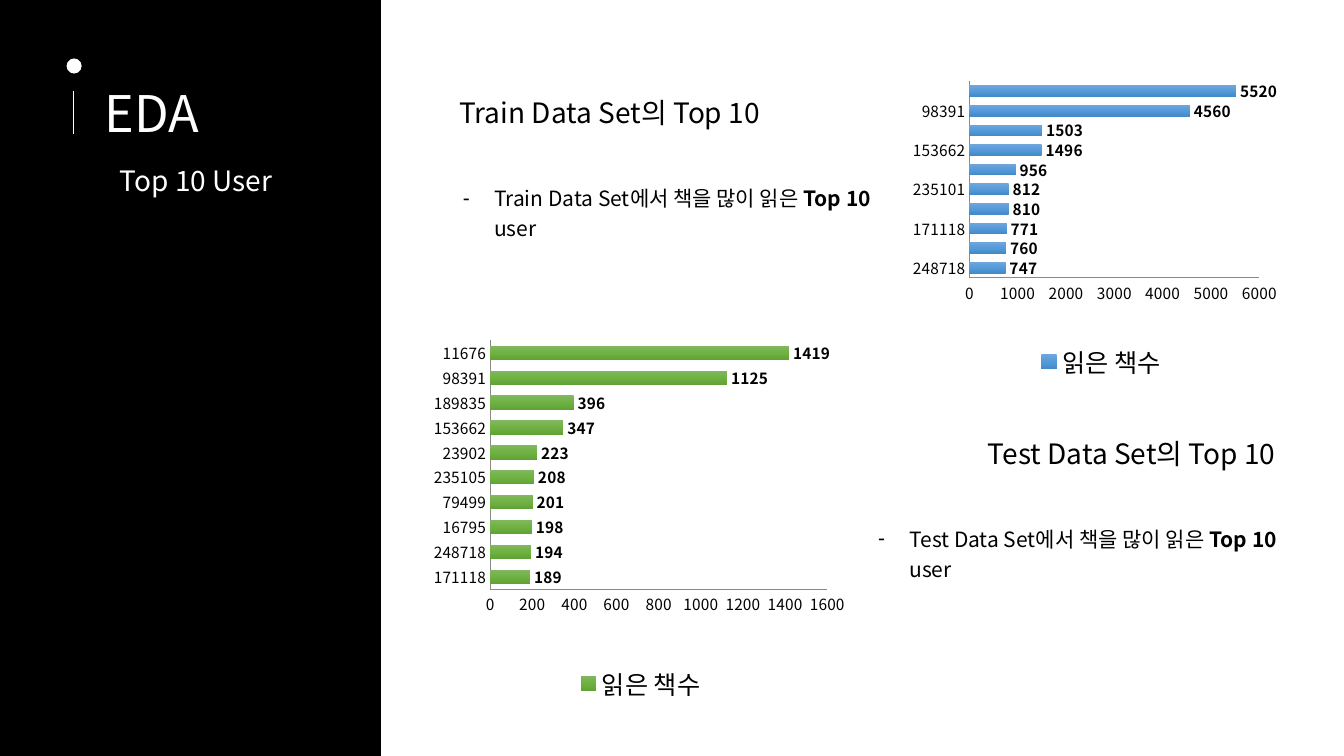
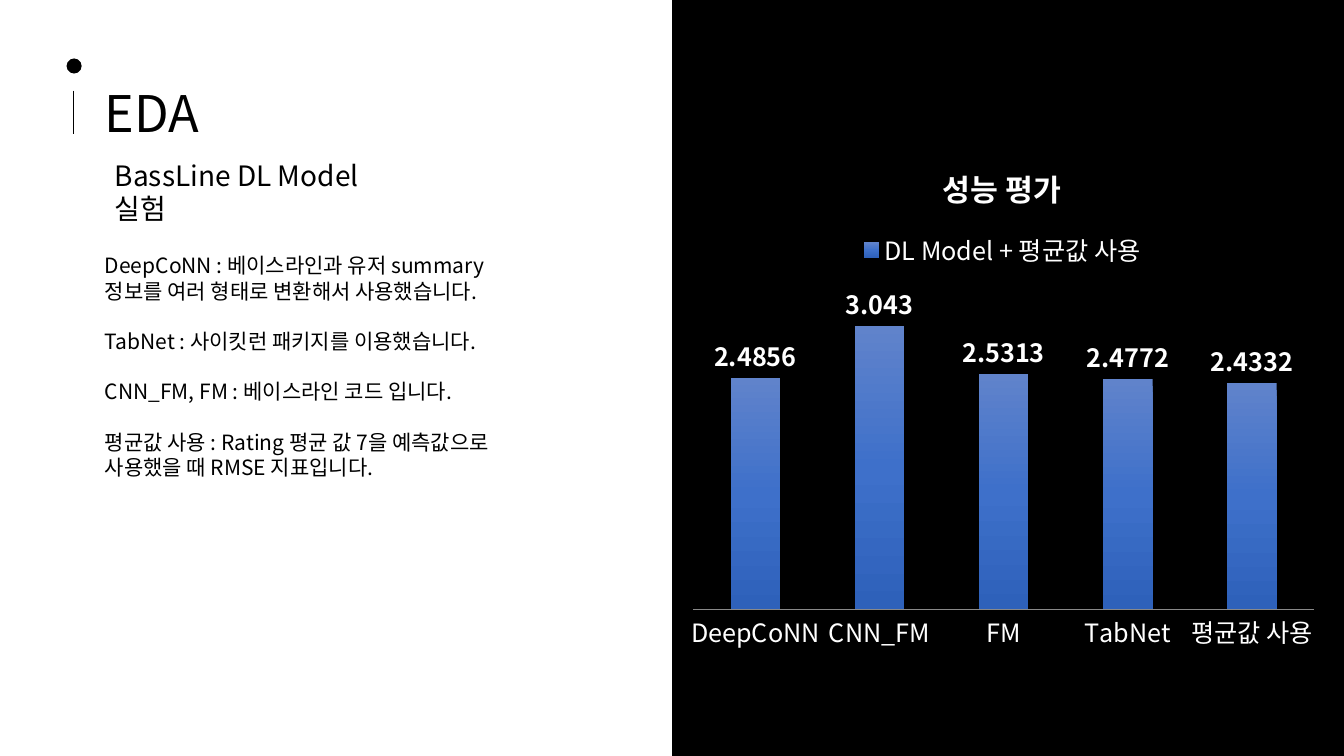
from copy import deepcopy
from dataclasses import dataclass
from typing import Optional

from lxml import etree
from pptx import Presentation
from pptx.chart.data import CategoryChartData
from pptx.dml.color import RGBColor
from pptx.enum.chart import XL_CHART_TYPE, XL_LABEL_POSITION, XL_LEGEND_POSITION, XL_TICK_MARK
from pptx.enum.shapes import MSO_CONNECTOR, MSO_SHAPE
from pptx.enum.text import MSO_ANCHOR, MSO_AUTO_SIZE, PP_ALIGN
from pptx.oxml.ns import qn
from pptx.util import Inches, Pt

BAR = XL_CHART_TYPE.BAR_CLUSTERED
COLUMN = XL_CHART_TYPE.COLUMN_CLUSTERED
LEGEND_BOTTOM = XL_LEGEND_POSITION.BOTTOM
LEGEND_TOP = XL_LEGEND_POSITION.TOP
OUTSIDE_END = XL_LABEL_POSITION.OUTSIDE_END
NO_TICK = XL_TICK_MARK.NONE
RECTANGLE = MSO_SHAPE.RECTANGLE
OVAL = MSO_SHAPE.OVAL
STRAIGHT = MSO_CONNECTOR.STRAIGHT
LEFT = PP_ALIGN.LEFT
RIGHT = PP_ALIGN.RIGHT
TOP = MSO_ANCHOR.TOP
GROW = MSO_AUTO_SIZE.SHAPE_TO_FIT_TEXT

FONT = "Noto Sans CJK KR"
BLACK = "000000"
WHITE = "FFFFFF"
AXIS_GRAY = "898989"
SKY = ("71A6DB", "559BDB", "438AC9")
GREEN = ("81B861", "6FB242", "61A235")
BLUE = ("6083CB", "3E70CA", "2E61BA")
LAYOUT_ONE_BODY = 1
LAYOUT_TWO_BODIES = 3

Box = tuple[float, float, float, float]


@dataclass(frozen=True)
class RankingChart:
    box: Box
    series: str
    values: dict[str, float]
    gradient: tuple[str, str, str]
    kind: int = BAR
    color: str = BLACK
    label_size: float = 11
    gap: int = 75
    overlap: int = 0
    legend: int = LEGEND_BOTTOM
    title: str = ""
    plot_layout: Optional[Box] = None
    value_axis_shown: bool = True


@dataclass(frozen=True)
class DataSetSection:
    name: str
    heading_box: Box
    heading: str
    align: int
    bullet_box: Box
    chart: RankingChart


SECTIONS = [
    DataSetSection(
        "Train", (4.46, 0.9, 4.23, 0.44), "Train Data Set의 Top 10", LEFT,
        (4.49, 1.74, 4.45, 1.14),
        RankingChart(
            (8.9, 0.67, 4.04, 3.15), "읽은 책수",
            {"248718": 747, "16795": 760, "171118": 771, "76499": 810, "235101": 812,
             "23902": 956, "153662": 1496, "189835": 1503, "98391": 4560, "11676": 5520},
            SKY, plot_layout=(0.177, 0.043, 0.712, 0.618))),
    DataSetSection(
        "Test", (8.58, 4.28, 4.23, 0.44), "Test Data Set의 Top 10 ", RIGHT,
        (8.61, 5.12, 4.23, 0.71),
        RankingChart(
            (4.12, 3.23, 4.47, 3.78), "읽은 책수",
            {"171118": 189, "248718": 194, "16795": 198, "79499": 201, "235105": 208,
             "23902": 223, "153662": 347, "189835": 396, "98391": 1125, "11676": 1419},
            GREEN, plot_layout=(0.166, 0.039, 0.748, 0.653))),
]

MODEL_SCORES = RankingChart(
    (6.72, 1.4, 6.44, 5.15), "DL Model + 평균값 사용",
    {"DeepCoNN": 2.4856, "CNN_FM": 3.043, "FM": 2.5313, "TabNet": 2.4772, "평균값 사용": 2.4332},
    BLUE, kind=COLUMN, color=WHITE, label_size=18, gap=150, overlap=-25,
    legend=LEGEND_TOP, title="성능 평가", value_axis_shown=False)

MODEL_NOTES = [
    "DeepCoNN : 베이스라인과 유저 summary 정보를 여러 형태로 변환해서 사용했습니다.",
    "TabNet : 사이킷런 패키지를 이용했습니다.",
    "CNN_FM, FM : 베이스라인 코드 입니다.",
    "평균값 사용 : Rating 평균 값 7을 예측값으로 사용했을 때 RMSE 지표입니다.",
]


def rgb(value: str) -> RGBColor:
    return RGBColor.from_string(value)


def inches(box: Box) -> list[Inches]:
    return [Inches(length) for length in box]


def style_font(font, size: float, color: str, bold: Optional[bool] = None) -> None:
    font.name = FONT
    font.size = Pt(size)
    font.color.rgb = rgb(color)
    font.bold = bold


def set_korean_font(element) -> None:
    for latin in list(element.iter(qn("a:latin"))):
        east_asian = etree.Element(qn("a:ea"))
        east_asian.set("typeface", FONT)
        latin.addnext(east_asian)


def style_text(shape, size: float, color: str, align: int = LEFT) -> None:
    frame = shape.text_frame
    frame.word_wrap = True
    frame.auto_size = GROW
    frame.vertical_anchor = TOP
    for paragraph in frame.paragraphs:
        paragraph.alignment = align
        for run in paragraph.runs:
            style_font(run.font, size, color, run.font.bold)


def place(shape, box: Box) -> None:
    shape.left, shape.top, shape.width, shape.height = inches(box)


def add_label(slide, box: Box, text: str, color: str, align: int = LEFT) -> None:
    label = slide.shapes.add_textbox(*inches(box))
    label.text_frame.text = text
    style_text(label, 20, color, align)


def add_solid(slide, preset: int, box: Box, color: str):
    solid = slide.shapes.add_shape(preset, *inches(box))
    solid.shadow.inherit = False
    solid.fill.solid()
    solid.fill.fore_color.rgb = rgb(color)
    solid.line.fill.background()
    return solid


def add_panel(slide, left: float, width: float) -> None:
    panel = add_solid(slide, RECTANGLE, (left, 0, width, 7.5), BLACK)
    panel.line.color.rgb = rgb(BLACK)
    panel.line.width = Pt(1)
    slide.shapes.element.insert(2, panel.element)


def add_heading(slide, color: str) -> None:
    title = slide.shapes.title
    place(title, (0.94, 0.76, 2.62, 0.71))
    title.text_frame.text = "EDA"
    style_text(title, 36, color)
    add_solid(slide, OVAL, (0.66, 0.58, 0.15, 0.15), color)
    stem = slide.shapes.add_connector(
        STRAIGHT, Inches(0.73), Inches(0.9), Inches(0.73), Inches(1.33))
    stem.line.color.rgb = rgb(color)
    stem.line.width = Pt(0.5)
    etree.SubElement(stem.element.spPr, qn("a:effectLst"))


def set_bullet(paragraph, mark: str, indent: float) -> None:
    properties = paragraph._p.get_or_add_pPr()
    properties.set("marL", str(Inches(indent)))
    properties.set("indent", str(-Inches(indent)))
    if mark:
        etree.SubElement(properties, qn("a:buChar")).set("char", mark)
    else:
        etree.SubElement(properties, qn("a:buNone"))


def fill_bullet(body, section: DataSetSection) -> None:
    place(body, section.bullet_box)
    paragraph = body.text_frame.paragraphs[0]
    set_bullet(paragraph, "-", 0.31)
    paragraph.line_spacing = 1.2
    paragraph.space_before = Pt(0)
    paragraph.space_after = Pt(9)
    parts = [(f"{section.name} Data Set에서 책을 많이 읽은 ", False), ("Top 10 ", True), ("user", False)]
    for text, bold in parts:
        run = paragraph.add_run()
        run.text = text
        run.font.bold = bold
    style_text(body, 15, BLACK)


def fill_notes(body, notes: list[str]) -> None:
    place(body, (0.94, 2.46, 4.23, 2.37))
    body.text_frame.text = "\n".join(notes)
    for index, paragraph in enumerate(body.text_frame.paragraphs):
        set_bullet(paragraph, "", 0)
        paragraph.space_before = Pt(18 if index else 0)
    style_text(body, 15, BLACK)


def set_plot_layout(chart, layout: Box) -> None:
    plot_area = chart.element.find(".//" + qn("c:plotArea"))
    for existing in plot_area.findall(qn("c:layout")):
        plot_area.remove(existing)
    holder = etree.Element(qn("c:layout"))
    manual = etree.SubElement(holder, qn("c:manualLayout"))
    settings = [("layoutTarget", "inner"), ("xMode", "edge"), ("yMode", "edge")]
    settings += [(key, str(part)) for key, part in zip("xywh", layout)]
    for key, setting in settings:
        etree.SubElement(manual, qn(f"c:{key}")).set("val", setting)
    plot_area.insert(0, holder)


def fill_gradient(chart, colors: tuple[str, str, str]) -> None:
    fill = chart.plots[0].series[0].format.fill
    fill.gradient()
    fill.gradient_angle = 270
    stops = chart.element.find(".//" + qn("a:gsLst"))
    stops.insert(1, deepcopy(stops[0]))
    for stop, color, position in zip(fill.gradient_stops, colors, (0, 0.5, 1)):
        stop.color.rgb = rgb(color)
        stop.position = position


def add_ranking(slide, ranking: RankingChart) -> None:
    data = CategoryChartData()
    data.categories = list(ranking.values)
    data.add_series(ranking.series, list(ranking.values.values()))
    chart = slide.shapes.add_chart(ranking.kind, *inches(ranking.box), data).chart
    style_font(chart.font, 18, ranking.color)

    chart.has_title = bool(ranking.title)
    if ranking.title:
        title = chart.chart_title.text_frame
        title.text = ranking.title
        style_font(title.paragraphs[0].runs[0].font, 21.6, ranking.color, True)

    chart.has_legend = True
    chart.legend.position = ranking.legend
    chart.legend.include_in_layout = False
    style_font(chart.legend.font, 18, ranking.color)

    for axis in (chart.category_axis, chart.value_axis):
        axis.has_major_gridlines = False
        axis.major_tick_mark = NO_TICK
        axis.minor_tick_mark = NO_TICK
        axis.format.line.color.rgb = rgb(AXIS_GRAY)
        axis.format.line.width = Pt(0.75)
        style_font(axis.tick_labels.font, ranking.label_size, ranking.color)
    chart.value_axis.minimum_scale = 0
    chart.value_axis.visible = ranking.value_axis_shown

    plot = chart.plots[0]
    plot.vary_by_categories = False
    plot.gap_width = ranking.gap
    plot.overlap = ranking.overlap
    plot.has_data_labels = True
    plot.data_labels.show_value = True
    plot.data_labels.position = OUTSIDE_END
    style_font(plot.data_labels.font, ranking.label_size, ranking.color, True)
    fill_gradient(chart, ranking.gradient)
    if ranking.plot_layout:
        set_plot_layout(chart, ranking.plot_layout)
    set_korean_font(chart.element)


def build_top_users(deck) -> None:
    slide = deck.slides.add_slide(deck.slide_layouts[LAYOUT_TWO_BODIES])
    add_panel(slide, 0, 3.77)
    add_heading(slide, WHITE)
    add_label(slide, (1.09, 1.57, 2.39, 0.44), "Top 10 User", WHITE)
    for index, section in enumerate(SECTIONS, start=1):
        add_label(slide, section.heading_box, section.heading, BLACK, section.align)
        fill_bullet(slide.placeholders[index], section)
        add_ranking(slide, section.chart)
    set_korean_font(slide.shapes.element)


def build_model_scores(deck) -> None:
    slide = deck.slides.add_slide(deck.slide_layouts[LAYOUT_ONE_BODY])
    add_panel(slide, 6.67, 6.67)
    add_heading(slide, BLACK)
    add_label(slide, (1.04, 1.52, 2.73, 0.77), "BassLine DL Model 실험", BLACK)
    fill_notes(slide.placeholders[1], MODEL_NOTES)
    add_ranking(slide, MODEL_SCORES)
    set_korean_font(slide.shapes.element)


def main() -> None:
    deck = Presentation()
    deck.slide_width, deck.slide_height = Inches(13.33), Inches(7.5)
    build_top_users(deck)
    build_model_scores(deck)
    deck.save("out.pptx")


if __name__ == "__main__":
    main()
